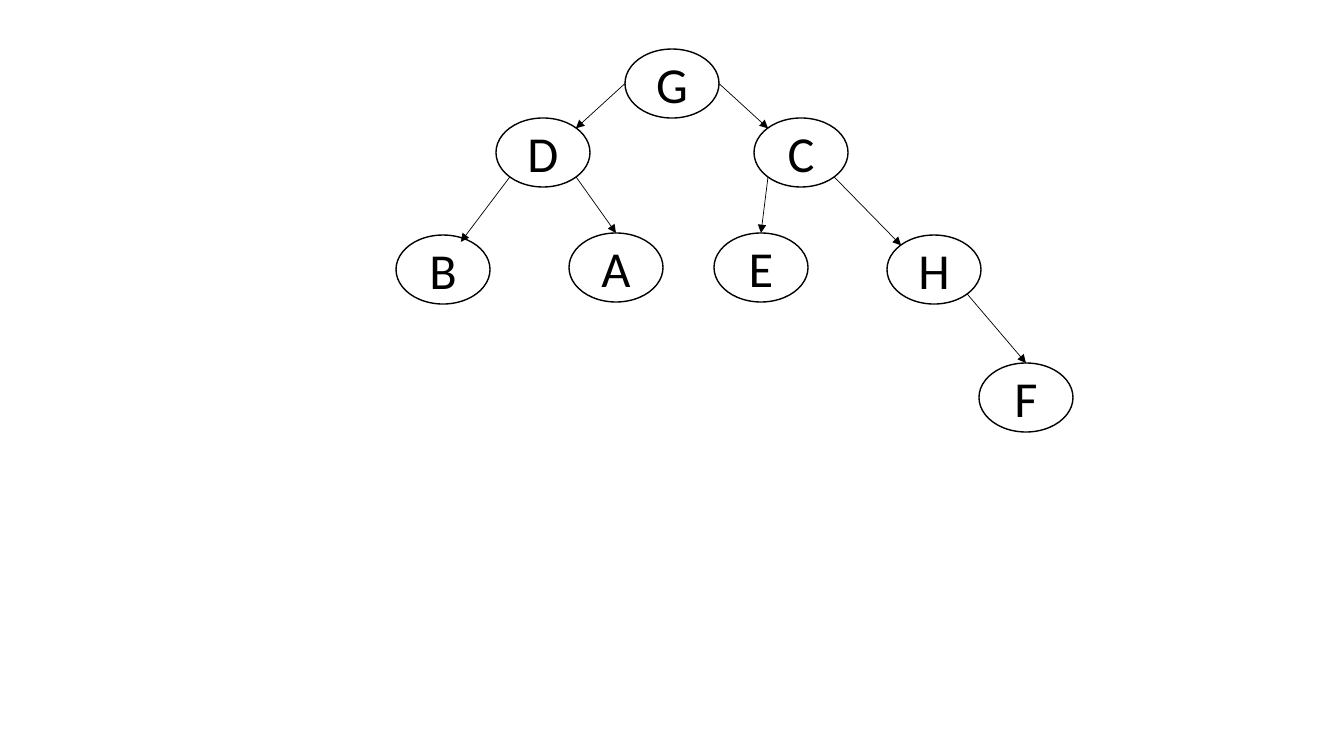
import pptx
import pptx.util
import pptx.dml.color
import pptx.enum.shapes
import pptx.enum.text
import lxml.etree
import dataclasses


@dataclasses.dataclass
class Theme:
    ink: str = "000000"
    paper: str = "FFFFFF"
    font: str = "Calibri"
    size: float = 36
    edge: float = 1
    thin: float = 0.5


theme = Theme()
SCALE = 914400 / 100.8
ink = pptx.dml.color.RGBColor.from_string(theme.ink)
paper = pptx.dml.color.RGBColor.from_string(theme.paper)


def px(n):
    return pptx.util.Emu(round(n * SCALE))


deck = pptx.Presentation()
deck.slide_width, deck.slide_height = px(1344), px(756)
slide = deck.slides.add_slide(deck.slide_layouts[6])

# Tree nodes: left and top of each equal ellipse
WIDE, HIGH = 94, 69
nodes = {
    "G": (625, 49),
    "D": (496, 118), "C": (754, 118),
    "B": (396, 235), "A": (569, 233), "E": (714, 233), "H": (887, 235),
    "F": (979, 363),
}
for name, (left, top) in nodes.items():
    node = slide.shapes.add_shape(
        pptx.enum.shapes.MSO_SHAPE.OVAL, px(left), px(top), px(WIDE), px(HIGH))
    node.shadow.inherit = False
    node.fill.solid()
    node.fill.fore_color.rgb = paper
    node.line.color.rgb = ink
    node.line.width = pptx.util.Pt(theme.edge)
    frame = node.text_frame
    frame.text = name
    frame.vertical_anchor = pptx.enum.text.MSO_ANCHOR.MIDDLE
    para = frame.paragraphs[0]
    para.alignment = pptx.enum.text.PP_ALIGN.CENTER
    font = para.runs[0].font
    font.name = theme.font
    font.size = pptx.util.Pt(theme.size)
    font.color.rgb = ink

# Points on an ellipse, as shares of its width and height
sites = {
    "left": (0, 0.5), "right": (1, 0.5), "top": (0.5, 0),
    "northwest": (0.15, 0.15), "northeast": (0.85, 0.15),
    "southwest": (0.15, 0.85), "southeast": (0.85, 0.85),
    "near top": (0.69, 0.1),
}


def spot(name, site):
    left, top = nodes[name]
    across, down = sites[site]
    return px(left + across * WIDE), px(top + down * HIGH)


# Arrows from parent to child
links = [
    ("G", "right", "C", "northwest"),
    ("G", "left", "D", "northeast"),
    ("C", "southeast", "H", "northwest"),
    ("C", "southwest", "E", "top"),
    ("D", "southwest", "B", "near top"),
    ("D", "southeast", "A", "top"),
    ("H", "southeast", "F", "top"),
]
for parent, start, child, end in links:
    link = slide.shapes.add_connector(
        pptx.enum.shapes.MSO_CONNECTOR.STRAIGHT,
        *spot(parent, start), *spot(child, end))
    link.line.color.rgb = ink
    link.line.width = pptx.util.Pt(theme.thin)
    tip = lxml.etree.SubElement(
        link.line._get_or_add_ln(), pptx.oxml.ns.qn("a:tailEnd"))
    tip.set("type", "triangle")
    lxml.etree.SubElement(
        link._element.spPr, pptx.oxml.ns.qn("a:effectLst"))

deck.save("out.pptx")
